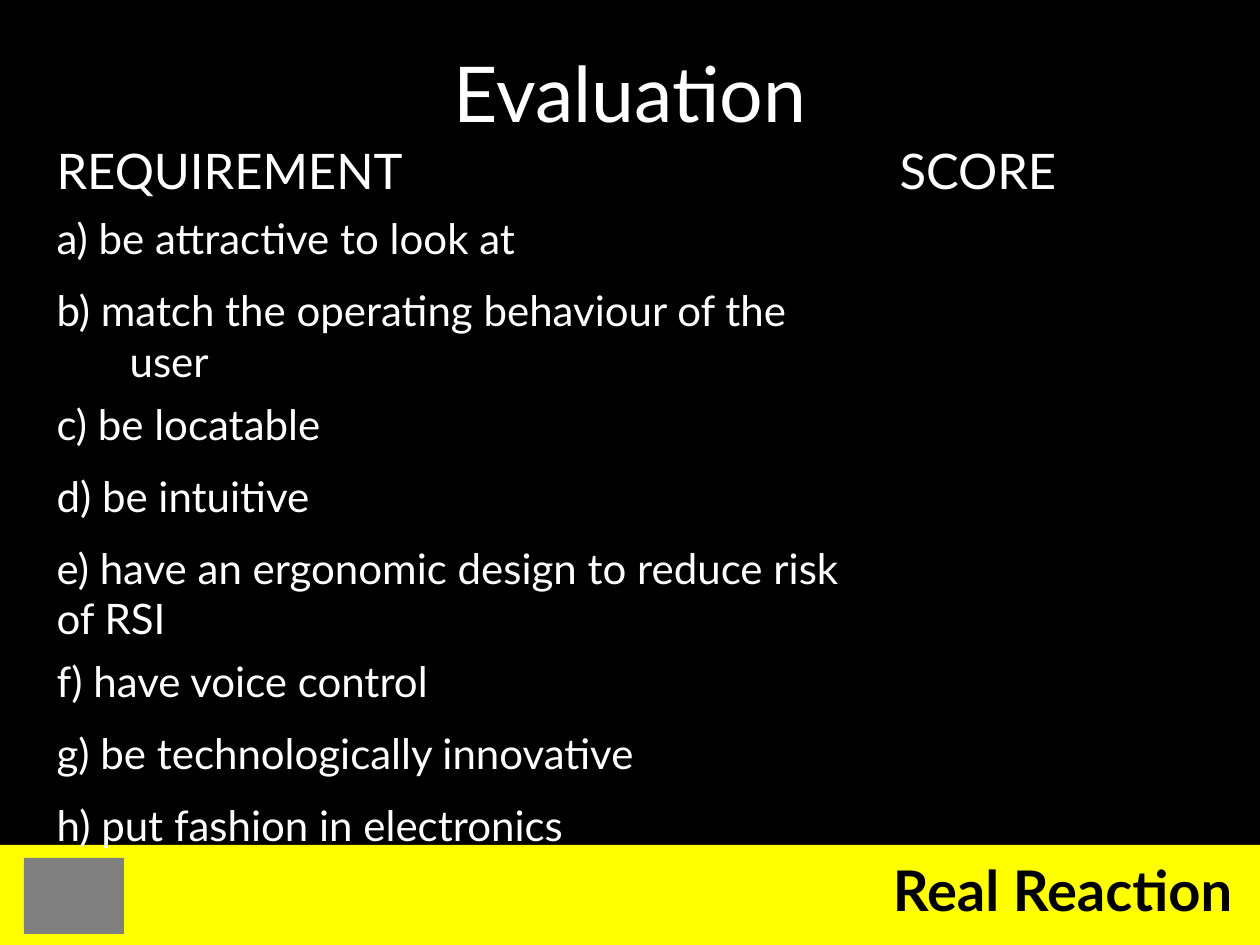
from dataclasses import dataclass

import pptx
import pptx.dml.color
import pptx.enum.shapes
import pptx.enum.text
import pptx.util

PX_PER_INCH = 126
NO_GRID_STYLE = "{2D5ABB26-0587-4C30-8999-92F81FD0307C}"
ALIGN = pptx.enum.text.PP_ALIGN
ANCHOR = pptx.enum.text.MSO_ANCHOR


@dataclass(frozen=True)
class Theme:
    font: str = "Lato"
    background: str = "000000"
    text: str = "FFFFFF"
    band: str = "FFFF00"
    band_text: str = "000000"
    badge: str = "808080"
    title_size: int = 44
    header_size: int = 28
    body_size: int = 24
    band_size: int = 32


THEME = Theme()

HEADERS = ["REQUIREMENT", "SCORE"]
REQUIREMENTS = [
    "a) be attractive to look at",
    "b) match the operating behaviour of the user",
    "c) be locatable",
    "d) be intuitive",
    "e) have an ergonomic design to reduce risk of RSI",
    "f) have voice control",
    "g) be technologically innovative",
    "h) put fashion in electronics",
]
HANGING_ROWS = (1, 2)
TWO_LINE_ROWS = (2, 5)


def px(n):
    return pptx.util.Emu(round(n * 914400 / PX_PER_INCH))


def place(box):
    return [px(n) for n in box]


def rgb(value):
    return pptx.dml.color.RGBColor.from_string(value)


def write(tf, text, size, color=THEME.text, bold=False, align=ALIGN.LEFT, hanging=0):
    """Fill a text frame with one formatted paragraph; hanging is its indent in px."""
    tf.word_wrap = True
    p = tf.paragraphs[0]
    p.alignment = align
    if hanging:
        pPr = p._p.get_or_add_pPr()
        pPr.set("marL", str(px(hanging)))
        pPr.set("indent", str(-px(hanging)))
    r = p.add_run()
    r.text = text
    r.font.name = THEME.font
    r.font.size = pptx.util.Pt(size)
    r.font.bold = bold
    r.font.color.rgb = rgb(color)


def add_block(slide, box, color):
    sp = slide.shapes.add_shape(pptx.enum.shapes.MSO_SHAPE.RECTANGLE, *place(box))
    sp.shadow.inherit = False
    sp.fill.solid()
    sp.fill.fore_color.rgb = rgb(color)
    sp.line.fill.background()


def add_footer(slide, box):
    x, y, w, h = box
    add_block(slide, box, THEME.band)
    add_block(slide, (x + 24, y + 13, 100, 76), THEME.badge)
    sp = slide.shapes.add_textbox(*place((x + w // 2, y + 4, w // 2 - 15, 81)))
    write(sp.text_frame, "Real Reaction", THEME.band_size, THEME.band_text,
          bold=True, align=ALIGN.RIGHT)


def add_title(slide, box):
    sp = slide.shapes.title
    sp.left, sp.top, sp.width, sp.height = place(box)
    sp.text_frame.vertical_anchor = ANCHOR.MIDDLE
    write(sp.text_frame, "Evaluation", THEME.title_size, align=ALIGN.CENTER)


def add_score_table(slide, box):
    rows = [HEADERS] + [[text, ""] for text in REQUIREMENTS]
    frame = slide.shapes.add_table(len(rows), len(HEADERS), *place(box))
    table = frame.table
    table.first_row = table.horz_banding = False
    table._tbl.tblPr[0].text = NO_GRID_STYLE
    score_width = 309
    for col, width in zip(table.columns, (box[2] - score_width, score_width)):
        col.width = px(width)
    for i, texts in enumerate(rows):
        table.rows[i].height = px(113 if i in TWO_LINE_ROWS else 72)
        for j, text in enumerate(texts):
            cell = table.cell(i, j)
            cell.fill.background()
            if text:
                write(cell.text_frame, text,
                      THEME.body_size if i else THEME.header_size,
                      hanging=73 if i in HANGING_ROWS else 0)


def main():
    prs = pptx.Presentation()
    prs.slide_width, prs.slide_height = px(1260), px(945)
    slide = prs.slides.add_slide(prs.slide_layouts[5])
    slide.background.fill.solid()
    slide.background.fill.fore_color.rgb = rgb(THEME.background)
    add_footer(slide, (0, 845, 1260, 100))
    add_title(slide, (63, 38, 1134, 107))
    add_score_table(slide, (44, 135, 1152, 730))
    prs.save("out.pptx")


if __name__ == "__main__":
    main()
